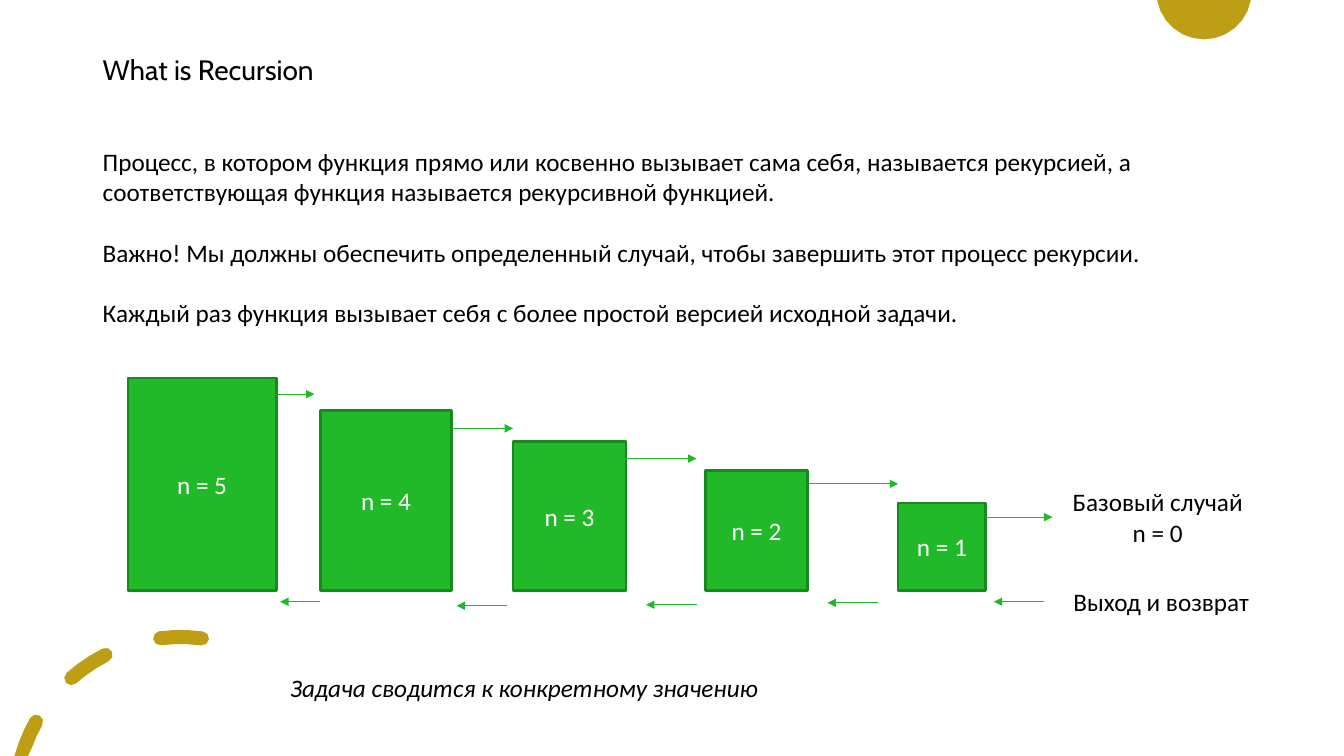
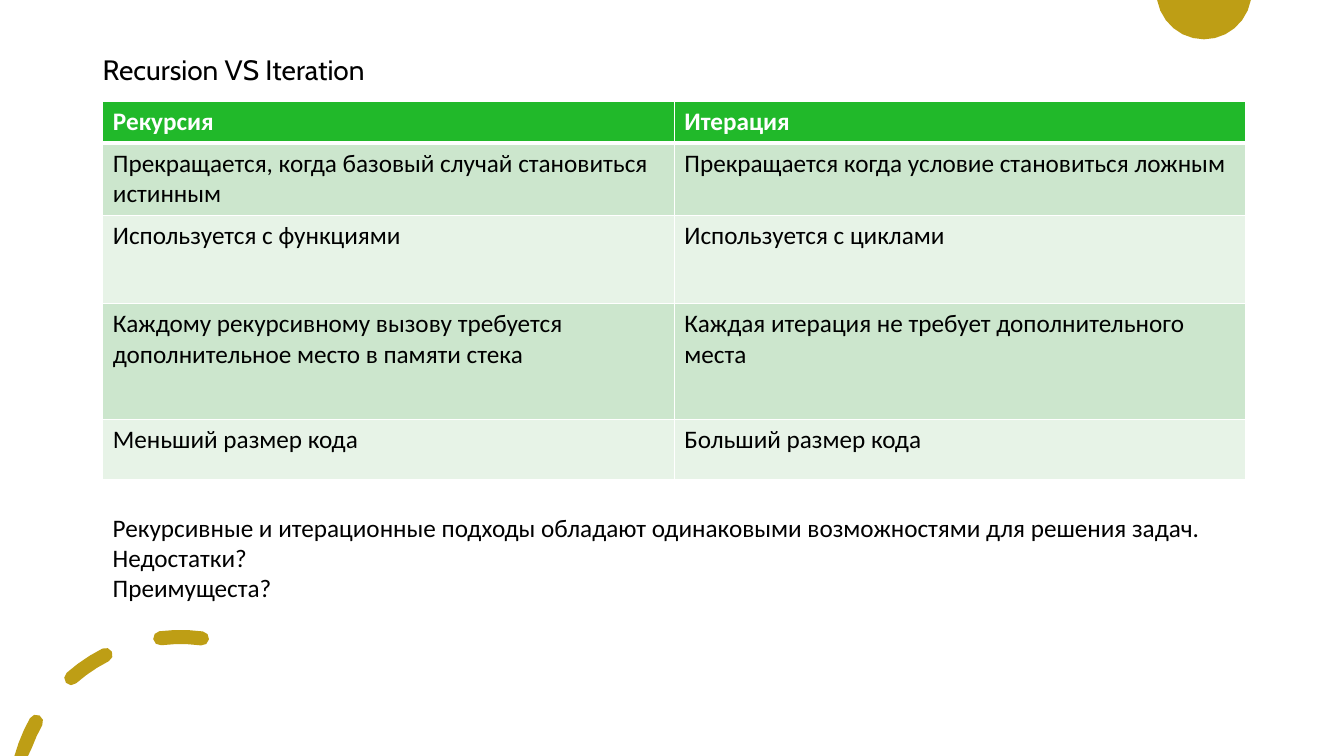
from collections import namedtuple
from math import asin, cos, degrees, radians, sin

from lxml.etree import SubElement
from pptx import Presentation
from pptx.dml.color import RGBColor
from pptx.enum.shapes import MSO_CONNECTOR as Connector, MSO_SHAPE as Shape
from pptx.enum.text import MSO_ANCHOR as Anchor, PP_ALIGN as Align
from pptx.oxml.ns import qn
from pptx.util import Inches, Pt

COLORS = {
    "gold": "BE9E15",
    "green": "21B92A",
    "dark green": "18891F",
    "arrow": "1DB926",
    "odd row": "CCE6CD",
    "even row": "E7F3E7",
    "white": "FFFFFF",
    "black": "000000",
}
TITLE_FONT, BODY_FONT = "Cabin", "Calibri"
BODY_SIZE = 18
PAGE_HEIGHT = 7.5
PAGE_WIDTH = PAGE_HEIGHT * 16 / 9

Box = namedtuple("Box", "left top width height")
# Arrow offsets are measured from the right edge and the top or bottom of a step.
Step = namedtuple("Step", "label width height call_drop call_length "
                          "return_gap return_length return_drop")

TITLE_BOX = Box(0.92, 0.4, 11.39, 0.61)

DEFINITION = [
    "Процесс, в котором функция прямо или косвенно вызывает сама себя, называется "
    "рекурсией, а соответствующая функция называется рекурсивной функцией.",
    "Важно! Мы должны обеспечить определенный случай, чтобы завершить этот процесс рекурсии.",
    "Каждый раз функция вызывает себя с более простой версией исходной задачи.",
]
STEPS = [
    Step("n = 5", 1.47, 2.11, 0.16, 0.38, 0.04, 0.39, 0.11),
    Step("n = 4", 1.3, 1.79, 0.18, 0.61, 0.05, 0.5, 0.15),
    Step("n = 3", 1.12, 1.48, 0.17, 0.7, 0.2, 0.5, 0.14),
    Step("n = 2", 1.01, 1.19, 0.13, 0.9, 0.2, 0.5, 0.12),
    Step("n = 1", 0.87, 0.87, 0.14, 0.66, 0.08, 0.5, 0.11),
]
COMPARISON = [
    ("Рекурсия", "Итерация"),
    ("Прекращается, когда базовый случай становиться истинным",
     "Прекращается когда условие становиться ложным"),
    ("Используется с функциями", "Используется с циклами"),
    ("Каждому рекурсивному вызову требуется дополнительное место в памяти стека",
     "Каждая итерация не требует дополнительного места"),
    ("Меньший размер кода", "Больший размер кода"),
]
ROW_HEIGHTS = [0.41, 0.72, 0.87, 1.15, 0.6]
CONCLUSION = [
    "Рекурсивные и итерационные подходы обладают одинаковыми возможностями для решения задач.",
    "Недостатки?",
    "Преимущеста?",
]


def rgb(name):
    return RGBColor.from_string(COLORS[name])


def to_emu(box):
    return [Inches(length) for length in box]


def write(frame, lines, color="black", font=BODY_FONT, size=BODY_SIZE,
          bold=False, italic=False, align=None, gap=0):
    """Fill a text frame with one paragraph per line, gap points apart."""
    frame.word_wrap = True
    frame.text = "\n".join(lines)
    for index, para in enumerate(frame.paragraphs):
        para.alignment = align
        if index and gap:
            para.space_before = Pt(gap)
        for span in para.runs:
            span.font.name = font
            span.font.size = Pt(size)
            span.font.bold = bold
            span.font.italic = italic
            span.font.color.rgb = rgb(color)


def add_text(page, box, lines, **style):
    frame = page.shapes.add_textbox(*to_emu(box)).text_frame
    write(frame, lines, **style)
    return frame


def add_title(page, box, title):
    frame = add_text(page, box, [title], font=TITLE_FONT, size=20)
    frame.vertical_anchor = Anchor.MIDDLE
    frame.paragraphs[0].line_spacing = 0.9


def on_circle(center, radius, angle):
    """Point at an angle in degrees, clockwise from the top."""
    turn = radians(angle)
    return center[0] + radius * sin(turn), center[1] - radius * cos(turn)


def arc(center, radius, start, end, count):
    step = (end - start) / count
    return [on_circle(center, radius, start + i * step) for i in range(count + 1)]


def add_outline(page, contours):
    """Draw closed contours as one gold shape, cut off at the foot of the page."""
    first, *others = [[(Inches(x), Inches(min(y, PAGE_HEIGHT))) for x, y in contour]
                      for contour in contours]
    builder = page.shapes.build_freeform(*first[0], scale=1.0)
    builder.add_line_segments(first[1:], close=True)
    for contour in others:
        builder.move_to(*contour[0])
        builder.add_line_segments(contour[1:], close=True)
    outline = builder.convert_to_shape()
    outline.shadow.inherit = False
    outline.fill.solid()
    outline.fill.fore_color.rgb = rgb("gold")
    outline.line.fill.background()


def add_top_disc(page, box):
    """Draw the part of a disc that hangs down from the top of the box."""
    half = box.width / 2
    radius = (half ** 2 + box.height ** 2) / (2 * box.height)
    center = (box.left + half, box.top + box.height - radius)
    spread = degrees(asin(half / radius))
    add_outline(page, [arc(center, radius, 180 - spread, 180 + spread, 12)])


def dash_contour(center, radius, half, start, end):
    """Outline of a thick arc with round ends."""
    start_cap = arc(on_circle(center, radius, start), half, start + 180, start + 360, 4)
    end_cap = arc(on_circle(center, radius, end), half, end, end + 180, 4)
    return (arc(center, radius + half, start, end, 3) + end_cap[1:-1]
            + arc(center, radius - half, end, start, 3) + start_cap[1:-1])


def add_dashed_ring(page, center, radius, thickness, dashes):
    add_outline(page, [dash_contour(center, radius, thickness / 2, start, end)
                       for start, end in dashes])


def add_arrow(page, start_x, end_x, y):
    arrow = page.shapes.add_connector(
        Connector.STRAIGHT, Inches(start_x), Inches(y), Inches(end_x), Inches(y))
    arrow.line.color.rgb = rgb("arrow")
    arrow.line.width = Pt(0.75)
    SubElement(arrow.line._get_or_add_ln(), qn("a:tailEnd"), type="triangle")
    SubElement(arrow._element.spPr, qn("a:effectLst"))


def add_step(page, box, label):
    step = page.shapes.add_shape(Shape.RECTANGLE, *to_emu(box))
    step.shadow.inherit = False
    step.fill.solid()
    step.fill.fore_color.rgb = rgb("green")
    step.line.color.rgb = rgb("dark green")
    step.line.width = Pt(2)
    step.text_frame.vertical_anchor = Anchor.MIDDLE
    write(step.text_frame, [label], "white", align=Align.CENTER)


def add_staircase(page, box):
    """Draw shrinking steps on one base line, with call and return arrows."""
    pitch = (box.width - STEPS[-1].width) / (len(STEPS) - 1)
    base = box.top + box.height
    for index, step in enumerate(STEPS):
        left, top = box.left + index * pitch, base - step.height
        right = left + step.width
        add_step(page, Box(left, top, step.width, step.height), step.label)
        add_arrow(page, right, right + step.call_length, top + step.call_drop)
        tip = right + step.return_gap
        add_arrow(page, tip + step.return_length, tip, base + step.return_drop)
    label_left = box.left + box.width + 0.75
    add_text(page, Box(label_left, base - 1.08, 1.91, 1),
             ["Базовый случай", "n = 0"], align=Align.CENTER)
    add_text(page, Box(label_left + 0.02, base - 0.09, 2.02, 0.7), ["Выход и возврат"])


def set_borders(cell, top, bottom):
    properties = cell._tc.get_or_add_tcPr()
    for side, width in (("L", 0.96), ("R", 0.96), ("T", top), ("B", bottom)):
        line = SubElement(properties, qn(f"a:ln{side}"), w=str(Pt(width)))
        fill = SubElement(line, qn("a:solidFill"))
        SubElement(fill, qn("a:srgbClr"), val=COLORS["white"])


def add_comparison(page, box):
    columns = len(COMPARISON[0])
    table = page.shapes.add_table(len(COMPARISON), columns, *to_emu(box)).table
    for column in table.columns:
        column.width = Inches(box.width / columns)
    for row_index, texts in enumerate(COMPARISON):
        table.rows[row_index].height = Inches(ROW_HEIGHTS[row_index])
        header = row_index == 0
        fill = "green" if header else "odd row" if row_index % 2 else "even row"
        for column_index, text in enumerate(texts):
            cell = table.cell(row_index, column_index)
            set_borders(cell, 3 if row_index == 1 else 0.96, 3 if header else 0.96)
            cell.fill.solid()
            cell.fill.fore_color.rgb = rgb(fill)
            write(cell.text_frame, [text], "white" if header else "black", bold=header)


def add_page(deck, title):
    page = deck.slides.add_slide(deck.slide_layouts[6])
    add_top_disc(page, Box(11.48, 0, 0.93, 0.39))
    add_dashed_ring(page, (1.79, 7.96), 1.64, 0.14,
                    [(-74.4, -60.8), (-41.3, -26.9), (-7, 7.5)])
    add_title(page, TITLE_BOX, title)
    return page


def build_recursion_page(deck):
    page = add_page(deck, "What is Recursion")
    add_text(page, Box(0.92, 1.4, 11.39, 2.2), DEFINITION, gap=21.8)
    add_staircase(page, Box(1.27, 3.75, 8.51, 2.11))
    add_text(page, Box(2.78, 6.62, 5.21, 0.7),
             ["Задача сводится к конкретному значению"], italic=True)


def build_comparison_page(deck):
    page = add_page(deck, "Recursion VS Iteration")
    add_text(page, Box(1.02, 5.03, 11.39, 1.3), CONCLUSION)
    add_comparison(page, Box(1.02, 1.01, 11.34, sum(ROW_HEIGHTS)))


def main():
    deck = Presentation()
    deck.slide_width, deck.slide_height = Inches(PAGE_WIDTH), Inches(PAGE_HEIGHT)
    build_recursion_page(deck)
    build_comparison_page(deck)
    deck.save("out.pptx")


if __name__ == "__main__":
    main()
